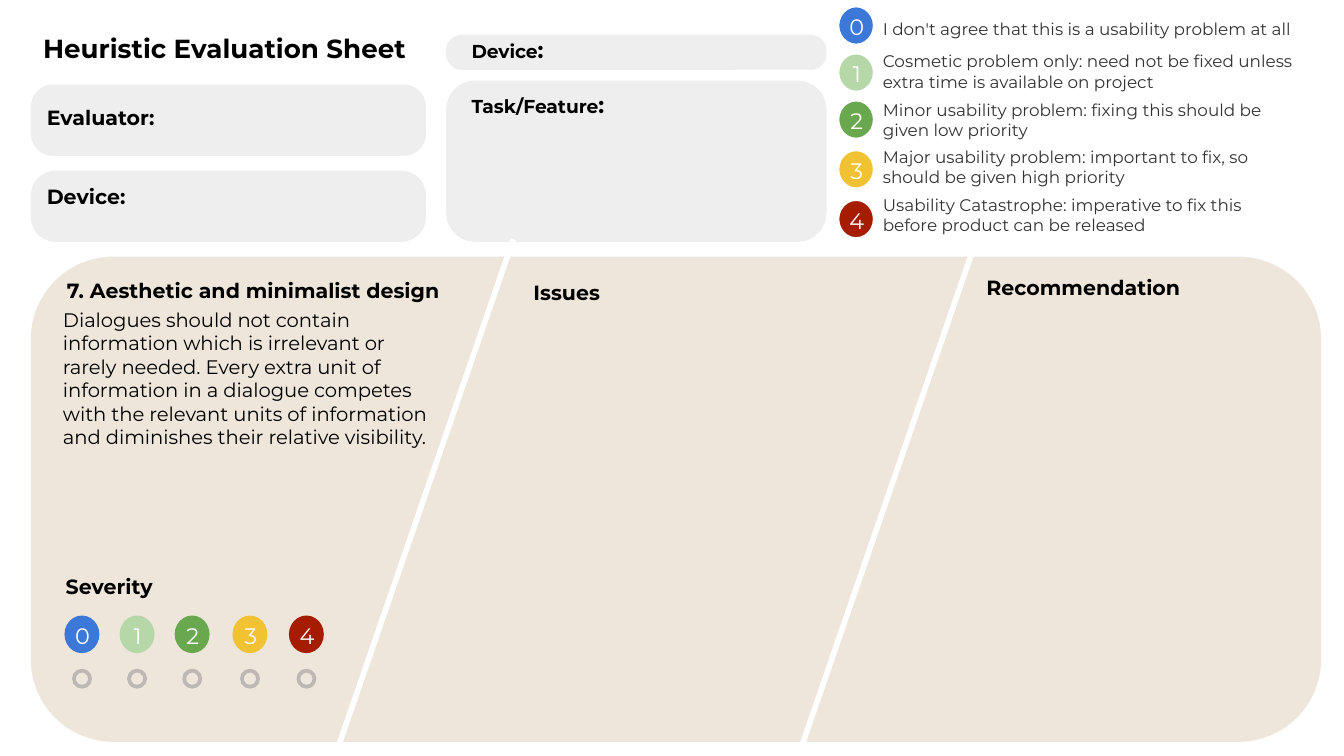
from dataclasses import dataclass

from lxml import etree
from pptx import Presentation
from pptx import util as u
from pptx.dml.color import RGBColor
from pptx.enum import shapes as es, text as et
from pptx.oxml.ns import qn


@dataclass(frozen=True)
class Theme:
    """Colours and type sizes of the sheet."""
    font: str = "Montserrat"
    ink: str = "000000"
    note: str = "333333"
    white: str = "FFFFFF"
    box: str = "EEEEEE"
    panel: str = "EEE6DB"
    ring: str = "BEB8B4"
    title: float = 14
    mark: float = 12
    head: float = 11
    body: float = 10.5
    label: float = 10
    small: float = 9


T = Theme()

# Level colour, top of its badge, top, width and height of its note, wording
LEVELS = [
    ("3C78D8", 0.05, 0.04, 3.51, 0.66,
     "I don't agree that this is a usability problem at all"),
    ("B6D7A8", 0.40, 0.28, 3.51, 0.66,
     "Cosmetic problem only: need not be fixed unless extra time is available on project"),
    ("6AA84F", 0.75, 0.64, 3.28, 0.56,
     "Minor usability problem: fixing this should be given low priority"),
    ("F1C232", 1.12, 0.99, 3.28, 0.56,
     "Major usability problem: important to fix, so should be given high priority"),
    ("A61C00", 1.49, 1.35, 3.28, 0.56,
     "Usability Catastrophe: imperative to fix this before product can be released"),
]
SCALE = [0.48, 0.89, 1.30, 1.73, 2.15]
HEURISTIC = (
    "Dialogues should not contain information which is irrelevant or rarely "
    "needed. Every extra unit of information in a dialogue competes with the "
    "relevant units of information and diminishes their relative visibility."
)


def rgb(code):
    """Turn a hex code into a colour."""
    return RGBColor.from_string(code)


def inches(*nums):
    """Turn numbers into lengths."""
    return [u.Inches(n) for n in nums]


def write(shape, runs, color=T.ink, bold=False, align=et.PP_ALIGN.LEFT, indent=0):
    """Fill a shape with one paragraph of (text, size) runs."""
    frame = shape.text_frame
    frame.word_wrap = True
    frame.auto_size = et.MSO_AUTO_SIZE.NONE
    frame.vertical_anchor = et.MSO_ANCHOR.TOP
    frame.margin_left = frame.margin_right = u.Inches(0.1)
    frame.margin_top = frame.margin_bottom = u.Inches(0.1)
    para = frame.paragraphs[0]
    para.alignment = align
    if indent:
        props = para._p.get_or_add_pPr()
        props.set("marL", str(u.Inches(indent)))
        props.set("indent", "0")
    for words, size in runs:
        run = para.add_run()
        run.text = words
        font = run.font
        font.name, font.size, font.bold = T.font, u.Pt(size), bold
        font.color.rgb = rgb(color)


def add_text(page, at, runs, **style):
    """Add a text box."""
    write(page.add_textbox(*inches(*at)), runs, **style)


def add_form(page, kind, at, fill=None, line=None, width=0.75):
    """Add a flat shape with an optional fill and outline."""
    form = page.add_shape(kind, *inches(*at))
    form.shadow.inherit = False
    if fill:
        form.fill.solid()
        form.fill.fore_color.rgb = rgb(fill)
    else:
        form.fill.background()
    if line:
        form.line.color.rgb = rgb(line)
        form.line.width = u.Pt(width)
    else:
        form.line.fill.background()
    return form


def add_box(page, at, bend, fill=T.box):
    """Add a rounded box."""
    form = add_form(page, es.MSO_SHAPE.ROUNDED_RECTANGLE, at, fill)
    form.adjustments[0] = bend


def add_badge(page, level, left, top, line=None):
    """Add a coloured disc with its severity number."""
    add_form(page, es.MSO_SHAPE.OVAL, (left, top, 0.26, 0.28), LEVELS[level][0], line)
    add_text(page, (left - 0.05, top - 0.05, 0.37, 0.34), [(str(level), T.mark)],
             color=T.white, align=et.PP_ALIGN.CENTER)


def add_slant(page, left, top):
    """Add a slanted white divider whose lower end is at left."""
    line = page.add_connector(es.MSO_CONNECTOR.STRAIGHT,
                              *inches(left + 1.3, top, left, top + 3.77))
    line.line.color.rgb = rgb(T.white)
    line.line.width = u.Pt(3)
    etree.SubElement(line._element.spPr, qn("a:effectLst"))


def add_title(page):
    """Place and format the title."""
    title = page.title
    title.left, title.top, title.width, title.height = inches(0.22, 0.14, 6.08, 0.71)
    write(title, [("Heuristic Evaluation Sheet", T.title)], bold=True)


def add_fields(page):
    """Add the boxes to fill in, with their labels."""
    add_box(page, (0.23, 0.63, 2.94, 0.53), 0.31)
    add_box(page, (0.23, 1.27, 2.94, 0.53), 0.35)
    add_box(page, (3.32, 0.26, 2.83, 0.26), 0.44)
    add_box(page, (3.32, 0.6, 2.83, 1.2), 0.18)
    for words, top in (("Evaluator:", 0.68), ("Device:", 1.27)):
        add_text(page, (0.25, top, 2.54, 0.7), [(words, T.head)], bold=True)
    for words, top in (("Device", 0.17), ("Task/Feature", 0.58)):
        add_text(page, (3.41, top, 2.38, 0.34),
                 [(words, T.label), (":", T.mark)], bold=True)


def add_legend(page):
    """Explain the five severity levels."""
    for level, (_, top, note, width, height, words) in enumerate(LEVELS):
        add_badge(page, level, 6.24, top, T.white)
        add_text(page, (6.47, note, width, height), [(words, T.small)], color=T.note)


def add_columns(page):
    """Divide the panel and head its parts."""
    add_slant(page, 2.52, 1.78)
    add_slant(page, 5.97, 1.77)
    for words, left, top, width in (
        ("7. Aesthetic and minimalist design", 0.23, 1.97, 3.3),
        ("Issues", 3.7, 1.98, 1.48),
        ("Recommendation", 7.07, 1.95, 1.93),
        ("Severity", 0.22, 4.17, 1.48),
    ):
        add_text(page, (left, top, width, 0.36), [(words, T.head)],
                 bold=True, indent=0.17)
    add_text(page, (0.37, 2.19, 3.01, 0.7), [(HEURISTIC, T.body)])


def add_scale(page):
    """Add the severity scale with a ring to tick under each level."""
    for level, left in enumerate(SCALE):
        add_badge(page.add_group_shape().shapes, level, left, 4.58)
        add_form(page, es.MSO_SHAPE.OVAL, (left + 0.07, 4.99, 0.12, 0.12),
                 line=T.ring, width=2)


def main():
    """Build the sheet."""
    deck = Presentation()
    deck.slide_width = u.Inches(10)
    deck.slide_height = deck.slide_width * 9 // 16
    page = deck.slides.add_slide(deck.slide_layouts[5]).shapes
    add_title(page)
    add_box(page, (0.23, 1.91, 9.6, 3.61), 0.17, T.panel)
    add_fields(page)
    add_legend(page)
    add_columns(page)
    add_scale(page)
    deck.save("out.pptx")


main()
